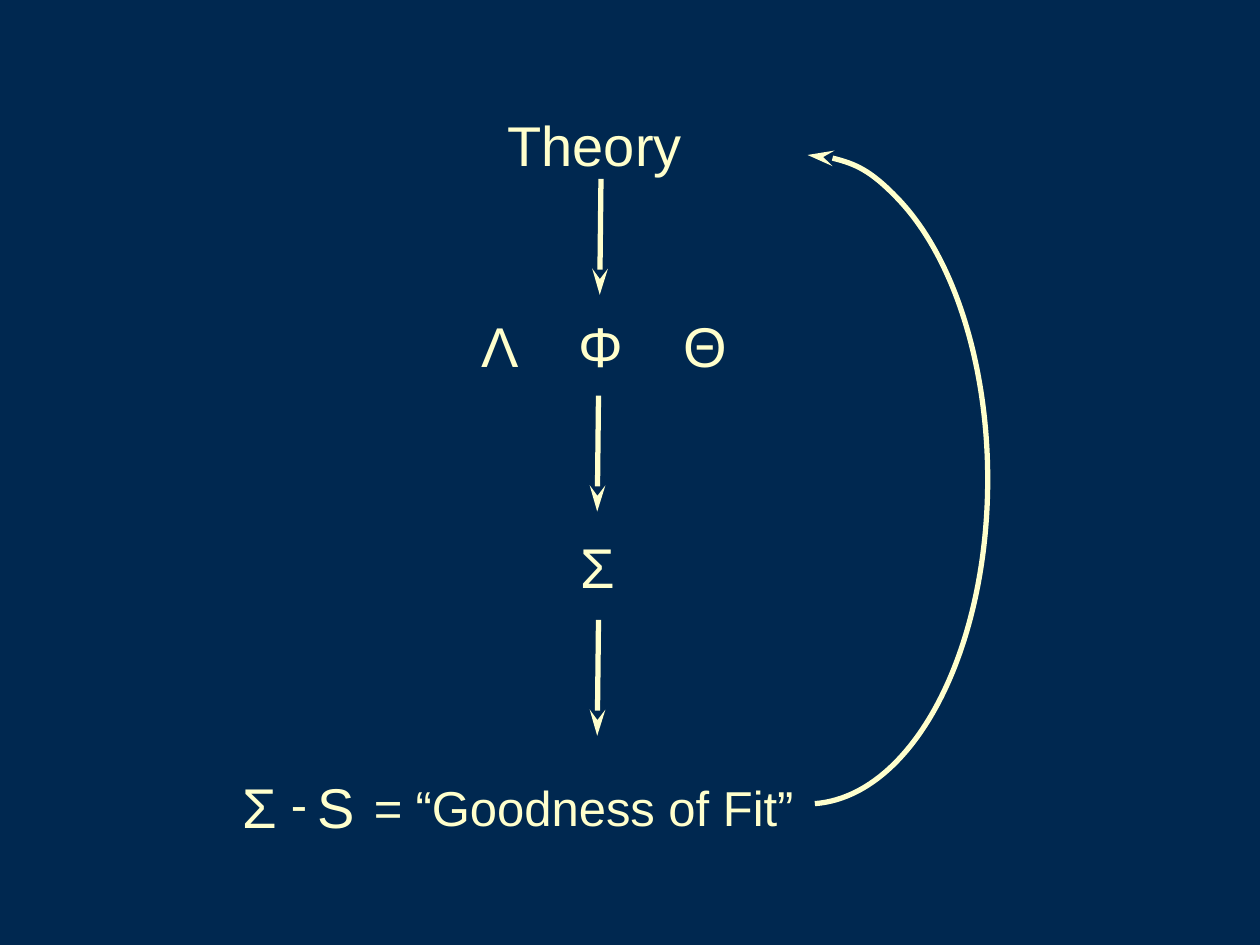
from typing import NamedTuple

from lxml.etree import SubElement
from pptx import Presentation
from pptx.dml.color import RGBColor
from pptx.enum.shapes import MSO_CONNECTOR, MSO_SHAPE
from pptx.oxml.ns import qn
from pptx.util import Inches, Pt

NAVY = "002850"
CREAM = "FFFFCC"
ARROW_LENGTH = 0.92
ARROW_SLANT = 0.01
ADJUSTMENT_PER_DEGREE = 0.6


class Label(NamedTuple):
    text: str
    left: float
    top: float
    width: float
    height: float = 0.64
    size: int = 32
    tabs: tuple[float, ...] = ()


class Arrow(NamedTuple):
    left: float
    top: float


LABELS = (
    Label("Theory", 3.93, 0.83, 1.7),
    Label("Λ\tΦ\tΘ", 3.72, 2.42, 2.21, tabs=(0.77, 1.61)),
    Label("Σ", 4.51, 4.18, 0.62),
    Label("Σ", 1.83, 6.08, 0.62),
    Label("-", 2.21, 6.09, 0.67, 0.57, 28),
    Label("S", 2.42, 6.08, 0.62),
    Label("=", 2.87, 6.12, 0.67, 0.57, 28),
    Label("“Goodness of Fit”", 3.2, 6.12, 5.4, 0.57, 28),
)
ARROWS = (Arrow(4.77, 1.42), Arrow(4.75, 3.14), Arrow(4.75, 4.92))


def color(value: str) -> RGBColor:
    return RGBColor.from_string(value)


def add_label(slide, label: Label) -> None:
    box = slide.shapes.add_textbox(
        Inches(label.left), Inches(label.top), Inches(label.width), Inches(label.height)
    )
    box.text_frame.word_wrap = True
    para = box.text_frame.paragraphs[0]
    if label.tabs:
        tab_list = SubElement(para._p.get_or_add_pPr(), qn("a:tabLst"))
        for position in label.tabs:
            SubElement(tab_list, qn("a:tab"), pos=str(Inches(position)), algn="l")
    span = para.add_run()
    span.text = label.text
    span.font.name = "Arial"
    span.font.size = Pt(label.size)
    span.font.color.rgb = color(CREAM)


def style_line(shape, end: str) -> None:
    """Give a line its colour and width, and a long arrowhead at headEnd or tailEnd."""
    shape.line.color.rgb = color(CREAM)
    shape.line.width = Pt(3)
    SubElement(shape.line._get_or_add_ln(), qn(f"a:{end}"), type="stealth", len="lg")


def add_arrow(slide, arrow: Arrow) -> None:
    connector = slide.shapes.add_connector(
        MSO_CONNECTOR.STRAIGHT,
        Inches(arrow.left),
        Inches(arrow.top),
        Inches(arrow.left - ARROW_SLANT),
        Inches(arrow.top + ARROW_LENGTH),
    )
    style_line(connector, "tailEnd")
    SubElement(connector._element.spPr, qn("a:effectLst"))


def add_feedback_arc(slide) -> None:
    """Draw the arc from the fit at the bottom back up to the theory."""
    arc = slide.shapes.add_shape(
        MSO_SHAPE.ARC, Inches(4.98), Inches(1.23), Inches(2.86), Inches(5.15)
    )
    arc.adjustments[0] = 270 * ADJUSTMENT_PER_DEGREE
    arc.adjustments[1] = 88.7 * ADJUSTMENT_PER_DEGREE
    arc.fill.background()
    style_line(arc, "headEnd")
    arc.shadow.inherit = False


def main() -> None:
    deck = Presentation()
    deck.slide_width, deck.slide_height = Inches(10), Inches(7.5)
    page = deck.slides.add_slide(deck.slide_layouts[6])
    page.background.fill.solid()
    page.background.fill.fore_color.rgb = color(NAVY)
    for label in LABELS:
        add_label(page, label)
    for arrow in ARROWS:
        add_arrow(page, arrow)
    add_feedback_arc(page)
    deck.save("out.pptx")


if __name__ == "__main__":
    main()
